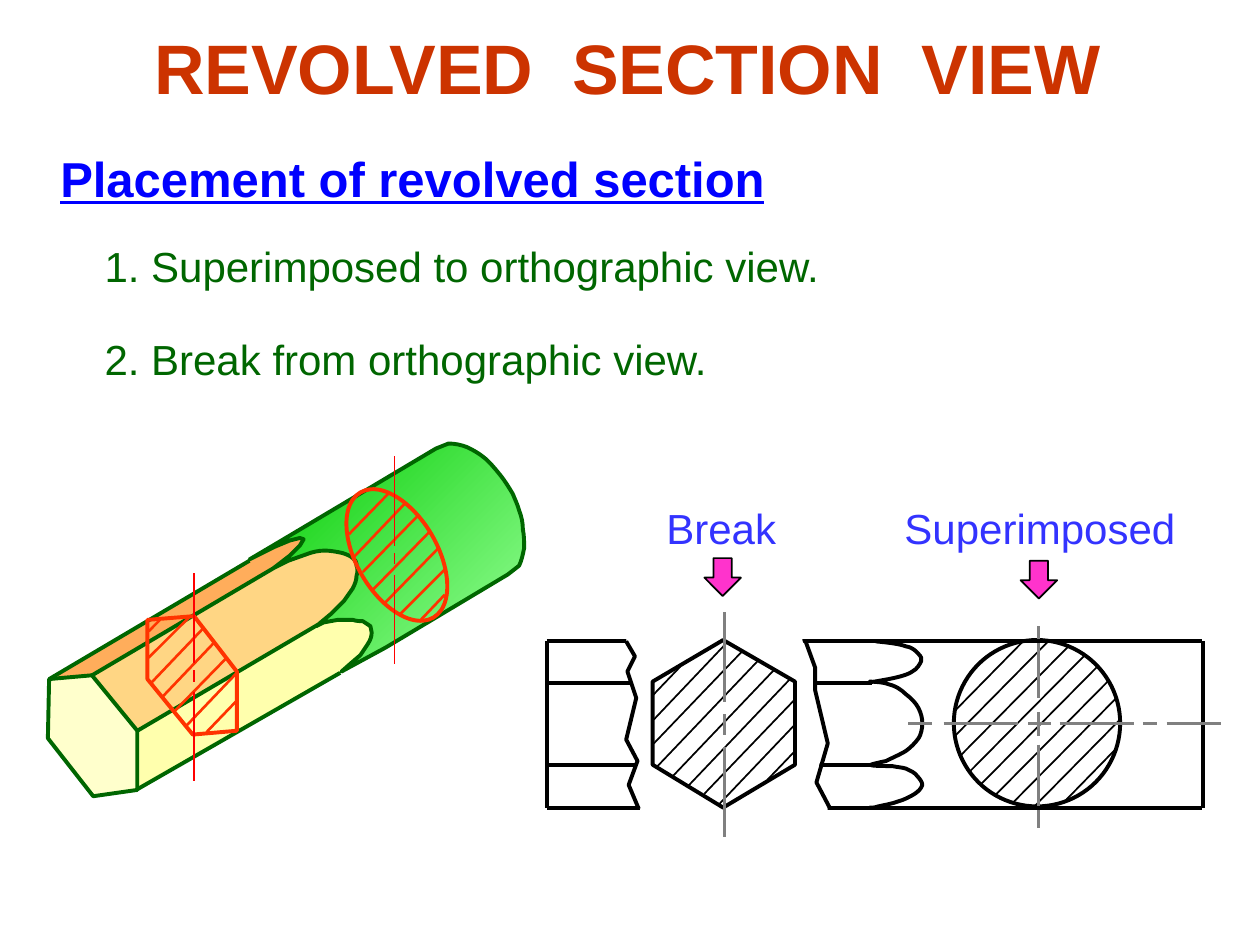
from dataclasses import dataclass
from typing import Any, NamedTuple, Optional

from lxml import etree
from pptx import Presentation
from pptx import util as u
from pptx.dml import color
from pptx.enum import shapes, text
from pptx.oxml import ns

BLACK, GRAY, WHITE = "000000", "808080", "FFFFFF"
GREEN, ORANGE, RED = "006600", "FF3300", "FF0000"


class Stroke(NamedTuple):
    color: str
    width: float


OUTLINE, HATCH, AXIS = Stroke(BLACK, 2.25), Stroke(BLACK, 1), Stroke(GRAY, 1.5)
EDGE, CUT, CUT_HATCH, CUT_AXIS = Stroke(GREEN, 2.25), Stroke(ORANGE, 2.25), Stroke(ORANGE, 1.5), Stroke(RED, 1)


@dataclass
class Outline:
    points: list
    stroke: Optional[Stroke] = None
    fill: Optional[str] = None
    opacity: int = 100
    gradient: Optional[tuple] = None
    closed: bool = True


@dataclass
class Label:
    words: str
    frame: tuple
    size: int
    color: str
    bold: bool = False
    underline: bool = False


def inch(value: float) -> u.Length:
    return u.Cm(value * 2.54)


def rgb(value: str) -> color.RGBColor:
    return color.RGBColor.from_string(value)


def place(box: Any, frame: tuple) -> None:
    for name, value in zip(("left", "top", "width", "height"), frame):
        setattr(box, name, inch(value))


def write(para: Any, label: Label) -> None:
    span = para.add_run()
    span.text = label.words
    formats = {"name": "Arial", "size": u.Pt(label.size), "bold": label.bold, "underline": label.underline}
    for name, value in formats.items():
        setattr(span.font, name, value)
    span.font.color.rgb = rgb(label.color)


def draw_label(page: Any, label: Label) -> None:
    box = page.shapes.add_textbox(*map(inch, label.frame))
    box.text_frame.word_wrap = False
    write(box.text_frame.paragraphs[0], label)


def paint(shape: Any, stroke: Optional[Stroke], fill: Optional[str] = None) -> None:
    shape.shadow.inherit = False
    if fill:
        shape.fill.solid()
        shape.fill.fore_color.rgb = rgb(fill)
    else:
        shape.fill.background()
    if stroke:
        shape.line.color.rgb = rgb(stroke.color)
        shape.line.width = u.Pt(stroke.width)
    else:
        shape.line.fill.background()


def draw_lines(page: Any, stroke: Stroke, lines: list) -> None:
    for ends in lines:
        line = page.shapes.add_connector(shapes.MSO_CONNECTOR.STRAIGHT, *map(inch, ends))
        line.line.color.rgb = rgb(stroke.color)
        line.line.width = u.Pt(stroke.width)
        etree.SubElement(line._element.spPr, ns.qn("a:effectLst"))


def draw_axis(page: Any, stroke: Stroke, at: float, spans: list) -> None:
    draw_lines(page, stroke, [(at, top, at, bottom) for top, bottom in spans])


def draw_preset(page: Any, kind: Any, frame: tuple, stroke: Stroke, fill: Optional[str] = None) -> Any:
    shape = page.shapes.add_shape(kind, *map(inch, frame))
    paint(shape, stroke, fill)
    return shape


def bend(shape: Any, points: list) -> None:
    segments = list(shape._element.spPr.iter(ns.qn("a:lnTo")))
    for segment, point in zip(segments, points[1:]):
        if len(point) == 2:
            continue
        curve = etree.Element(ns.qn("a:cubicBezTo"))
        for x, y in zip(point[::2], point[1::2]):
            knot = etree.SubElement(curve, ns.qn("a:pt"))
            knot.set("x", str(inch(x) - shape.left))
            knot.set("y", str(inch(y) - shape.top))
        segment.getparent().replace(segment, curve)


def draw_outline(page: Any, outline: Outline) -> None:
    track = [(inch(point[-2]), inch(point[-1])) for point in outline.points]
    builder = page.shapes.build_freeform(*track[0])
    builder.add_line_segments(track[1:], close=outline.closed)
    shape = builder.convert_to_shape()
    bend(shape, outline.points)
    paint(shape, outline.stroke, outline.fill)
    if outline.opacity < 100:
        tint = shape._element.spPr.find(ns.qn("a:solidFill"))[0]
        etree.SubElement(tint, ns.qn("a:alpha")).set("val", str(outline.opacity * 1000))
    if outline.gradient:
        shape.fill.gradient()
        shape.fill.gradient_angle = 135
        for stop, value in zip(shape.fill.gradient_stops, outline.gradient):
            stop.color.rgb = rgb(value)


def draw_words(page: Any) -> None:
    title, body = page.placeholders
    heading = Label("REVOLVED  SECTION  VIEW", (0.48, 0.12, 9, 0.81), 40, "CC3300", bold=True)
    place(title, heading.frame)
    place(body, (0.73, 1.86, 6.73, 1.23))
    for box, anchor in ((title, text.MSO_ANCHOR.MIDDLE), (body, text.MSO_ANCHOR.TOP)):
        formats = {"auto_size": text.MSO_AUTO_SIZE.NONE, "vertical_anchor": anchor, "word_wrap": True}
        for name, value in formats.items():
            setattr(box.text_frame, name, value)
    title.text_frame.paragraphs[0].alignment = text.PP_ALIGN.CENTER
    write(title.text_frame.paragraphs[0], heading)
    items = ["1. Superimposed to orthographic view.", "2. Break from orthographic view."]
    for number, words in enumerate(items):
        para = body.text_frame.add_paragraph() if number else body.text_frame.paragraphs[0]
        para.space_before = u.Pt(24 * number)
        props = para._p.get_or_add_pPr()
        props.set("marL", "0")
        props.set("indent", "0")
        etree.SubElement(props, ns.qn("a:buNone"))
        write(para, Label(words, (), 24, GREEN))
    for label in (
        Label("Placement of revolved section", (0.38, 1.13, 5.79, 0.57), 28, "0000FF", bold=True, underline=True),
        Label("Superimposed", (7.08, 3.94, 2.35, 0.5), 24, "3333FF"),
        Label("Break", (5.19, 3.94, 1.07, 0.5), 24, "3333FF"),
    ):
        draw_label(page, label)


def draw_front_view(page: Any) -> None:
    draw_preset(page, shapes.MSO_SHAPE.OVAL, (7.57, 5.08, 1.32, 1.32), OUTLINE, WHITE)
    draw_lines(page, HATCH, [
        (8.46, 6.35, 8.86, 5.94), (8.2, 6.41, 8.89, 5.71), (8.04, 6.37, 8.86, 5.54),
        (7.9, 6.31, 8.8, 5.4), (7.78, 6.23, 8.72, 5.28), (7.7, 6.12, 8.61, 5.2),
        (7.58, 5.84, 8.32, 5.09), (7.62, 6, 8.47, 5.14), (7.58, 5.64, 8.11, 5.1)])
    draw_axis(page, AXIS, 8.24, [(4.97, 5.54), (5.65, 5.84), (5.91, 6.57)])
    draw_lines(page, OUTLINE, [(4.34, y, right, y) for y, right in
                               ((5.09, 9.54), (5.42, 6.92), (6.07, 6.93), (6.41, 9.54))])
    draw_lines(page, OUTLINE, [(x, 5.09, x, 6.41) for x in (4.34, 9.55)])
    draw_outline(page, Outline([
        (6.95, 5.09), (7.05, 5.1, 7.14, 5.11, 7.19, 5.13), (7.25, 5.14, 7.27, 5.17, 7.29, 5.19),
        (7.31, 5.21, 7.32, 5.23, 7.31, 5.25), (7.3, 5.27, 7.28, 5.31, 7.24, 5.33),
        (7.2, 5.36, 7.1, 5.38, 7.05, 5.39), (6.99, 5.4, 6.9, 5.42, 6.9, 5.41),
        (6.9, 5.41, 7, 5.41, 7.05, 5.43), (7.1, 5.44, 7.15, 5.47, 7.19, 5.51),
        (7.23, 5.54, 7.27, 5.58, 7.29, 5.62), (7.31, 5.66, 7.32, 5.7, 7.32, 5.74),
        (7.32, 5.78, 7.31, 5.83, 7.29, 5.86), (7.26, 5.9, 7.23, 5.93, 7.19, 5.96),
        (7.14, 5.99, 7.07, 6.02, 7.03, 6.04), (6.98, 6.05, 6.9, 6.07, 6.91, 6.07),
        (6.91, 6.08, 7.03, 6.08, 7.08, 6.08), (7.13, 6.09, 7.16, 6.09, 7.19, 6.1),
        (7.23, 6.12, 7.26, 6.13, 7.28, 6.16), (7.3, 6.18, 7.32, 6.21, 7.32, 6.23),
        (7.31, 6.26, 7.29, 6.28, 7.26, 6.3), (7.23, 6.32, 7.17, 6.35, 7.13, 6.36),
        (7.08, 6.38, 7.01, 6.39, 6.97, 6.4), (6.94, 6.41, 6.92, 6.41, 6.9, 6.41)], OUTLINE, closed=False))
    spans = [(7.21, 7.4), (7.49, 8.08), (8.16, 8.34), (8.41, 9), (9.07, 9.18), (9.26, 9.69)]
    draw_lines(page, AXIS, [(left, 5.74, right, 5.74) for left, right in spans])


def draw_pencil(page: Any) -> None:
    for outline in (
        Outline([(0.73, 5.36), (2.38, 4.39), (2.42, 4.27), (2.32, 4.25), (2.06, 4.4), (0.4, 5.38)],
                fill="FF9933", opacity=80),
        Outline([(1.09, 5.8), (2.77, 4.81), (2.84, 4.56), (2.84, 4.41), (2.66, 4.36), (2.41, 4.38),
                 (2.22, 4.47), (0.73, 5.36)], fill="FFCC66", opacity=80),
        Outline([(1.09, 6.27), (2.88, 5.23), (2.97, 4.99), (2.88, 4.9), (2.61, 4.91), (1.08, 5.81)],
                fill="FFFF99", opacity=80),
        Outline([(0.38, 5.86), (0.74, 6.32), (1.09, 6.27), (1.09, 5.8), (0.73, 5.36), (0.39, 5.39)],
                EDGE, "FFFFCC"),
    ):
        draw_outline(page, outline)
    draw_lines(page, EDGE, [(1.08, 6.27, 2.7, 5.34), (1.09, 5.8, 2.52, 4.96),
                            (0.73, 5.36, 2.17, 4.51), (0.39, 5.39, 1.98, 4.45)])
    draw_outline(page, Outline([
        (2.71, 5.33), (3.06, 5.14), (4.03, 4.56), (4.12, 4.49), (4.14, 4.45, 4.15, 4.4, 4.16, 4.35),
        (4.16, 4.3, 4.16, 4.25, 4.15, 4.2), (4.15, 4.15, 4.14, 4.1, 4.12, 4.05),
        (4.11, 4.01, 4.09, 3.97, 4.07, 3.92), (4.04, 3.87, 4.01, 3.82, 3.97, 3.77),
        (3.93, 3.72, 3.88, 3.66, 3.84, 3.63), (3.79, 3.59, 3.75, 3.57, 3.71, 3.55),
        (3.66, 3.53, 3.61, 3.52, 3.56, 3.52), (3.46, 3.56), (2.2, 4.31), (1.98, 4.44), (2.18, 4.34),
        (2.3, 4.29), (2.38, 4.27), (2.41, 4.28), (2.38, 4.33), (2.3, 4.41), (2.17, 4.51), (2.29, 4.45),
        (2.43, 4.4), (2.48, 4.38, 2.53, 4.37, 2.58, 4.37), (2.62, 4.37, 2.68, 4.38, 2.72, 4.39),
        (2.75, 4.4, 2.78, 4.41, 2.8, 4.43), (2.82, 4.44, 2.83, 4.46, 2.83, 4.49),
        (2.84, 4.51, 2.84, 4.54, 2.83, 4.57), (2.83, 4.6, 2.82, 4.63, 2.8, 4.67), (2.73, 4.77),
        (2.63, 4.87), (2.51, 4.97), (2.57, 4.94), (2.68, 4.92), (2.72, 4.92, 2.77, 4.92, 2.8, 4.92),
        (2.83, 4.93, 2.86, 4.93, 2.88, 4.93), (2.9, 4.94, 2.92, 4.96, 2.94, 4.97),
        (2.95, 4.99, 2.95, 5, 2.95, 5.02), (2.95, 5.05, 2.94, 5.08, 2.92, 5.11), (2.86, 5.2), (2.79, 5.26)],
        EDGE, gradient=("99FF99", "00CC00")))


def draw_break(page: Any) -> None:
    for outline in (
        Outline([(4.97, 5.08), (5.04, 5.2), (4.99, 5.33), (5.05, 5.57), (4.97, 5.87), (5.05, 6.03), (5, 6.22),
                 (5.08, 6.42), (5.08, 6.83), (6.55, 6.83), (6.57, 6.4), (6.47, 6.19), (6.55, 5.9), (6.46, 5.49),
                 (6.46, 5.29), (6.37, 5.09), (6.32, 4.74), (5.08, 4.73)], fill=WHITE),
        Outline([(4.97, 5.09), (5.04, 5.21), (4.98, 5.33), (5.05, 5.54), (4.97, 5.87), (5.06, 6.04),
                 (4.99, 6.23), (5.07, 6.42)], OUTLINE, closed=False),
        Outline([(6.39, 5.08), (6.47, 5.3), (6.47, 5.48), (6.57, 5.9), (6.48, 6.21), (6.59, 6.42)],
                OUTLINE, closed=False),
        Outline([(5.74, 5.08), (5.18, 5.41), (5.18, 6.07), (5.74, 6.41), (6.31, 6.07), (6.31, 5.41)],
                OUTLINE, WHITE),
    ):
        draw_outline(page, outline)
    draw_lines(page, HATCH, [
        (6.09, 6.19, 6.31, 5.96), (5.71, 6.38, 6.3, 5.76), (5.59, 6.3, 6.3, 5.56), (5.46, 6.24, 6.27, 5.39),
        (5.34, 6.16, 6.15, 5.31), (5.21, 6.09, 6.02, 5.24), (5.19, 5.9, 5.89, 5.17),
        (5.19, 5.71, 5.76, 5.11), (5.18, 5.52, 5.4, 5.29)])
    draw_axis(page, AXIS, 5.75, [(4.86, 5.57), (5.67, 5.83), (5.93, 6.64)])


def draw_revolved_cuts(page: Any) -> None:
    draw_preset(page, shapes.MSO_SHAPE.OVAL, (2.83, 3.83, 0.64, 1.15), CUT).rotation = 329.8
    draw_outline(page, Outline([(1.17, 4.92), (1.17, 5.39), (1.53, 5.83), (1.88, 5.8), (1.88, 5.33),
                                (1.54, 4.89)], CUT))
    draw_lines(page, CUT_HATCH, [
        (2.81, 4.42, 3.21, 4), (2.88, 4.54, 3.31, 4.1), (2.96, 4.68, 3.41, 4.22), (3.06, 4.78, 3.48, 4.35),
        (3.33, 4.93, 3.53, 4.72), (2.77, 4.24, 3.09, 3.91), (3.18, 4.87, 3.53, 4.52),
        (1.2, 5.42, 1.61, 4.99), (1.29, 5.53, 1.7, 5.1), (1.38, 5.65, 1.79, 5.23), (1.47, 5.77, 1.88, 5.34),
        (1.18, 5.01, 1.27, 4.92), (1.18, 5.22, 1.5, 4.9), (1.64, 5.81, 1.88, 5.56)])
    for x, top in ((3.13, 3.62), (1.54, 4.55)):
        draw_axis(page, CUT_AXIS, x, [(top, top + 0.71), (top + 0.77, top + 0.86), (top + 0.94, top + 1.65)])


def main() -> None:
    deck = Presentation()
    deck.slide_width, deck.slide_height = inch(10), inch(7.5)
    page = deck.slides.add_slide(deck.slide_layouts[1])
    for draw in (draw_words, draw_front_view, draw_pencil, draw_break, draw_revolved_cuts):
        draw(page)
    for left, top in ((5.59, 4.43), (8.1, 4.45)):
        draw_preset(page, shapes.MSO_SHAPE.DOWN_ARROW, (left, top, 0.29, 0.3), HATCH, "FF33CC")
    deck.save("out.pptx")


if __name__ == "__main__":
    main()
